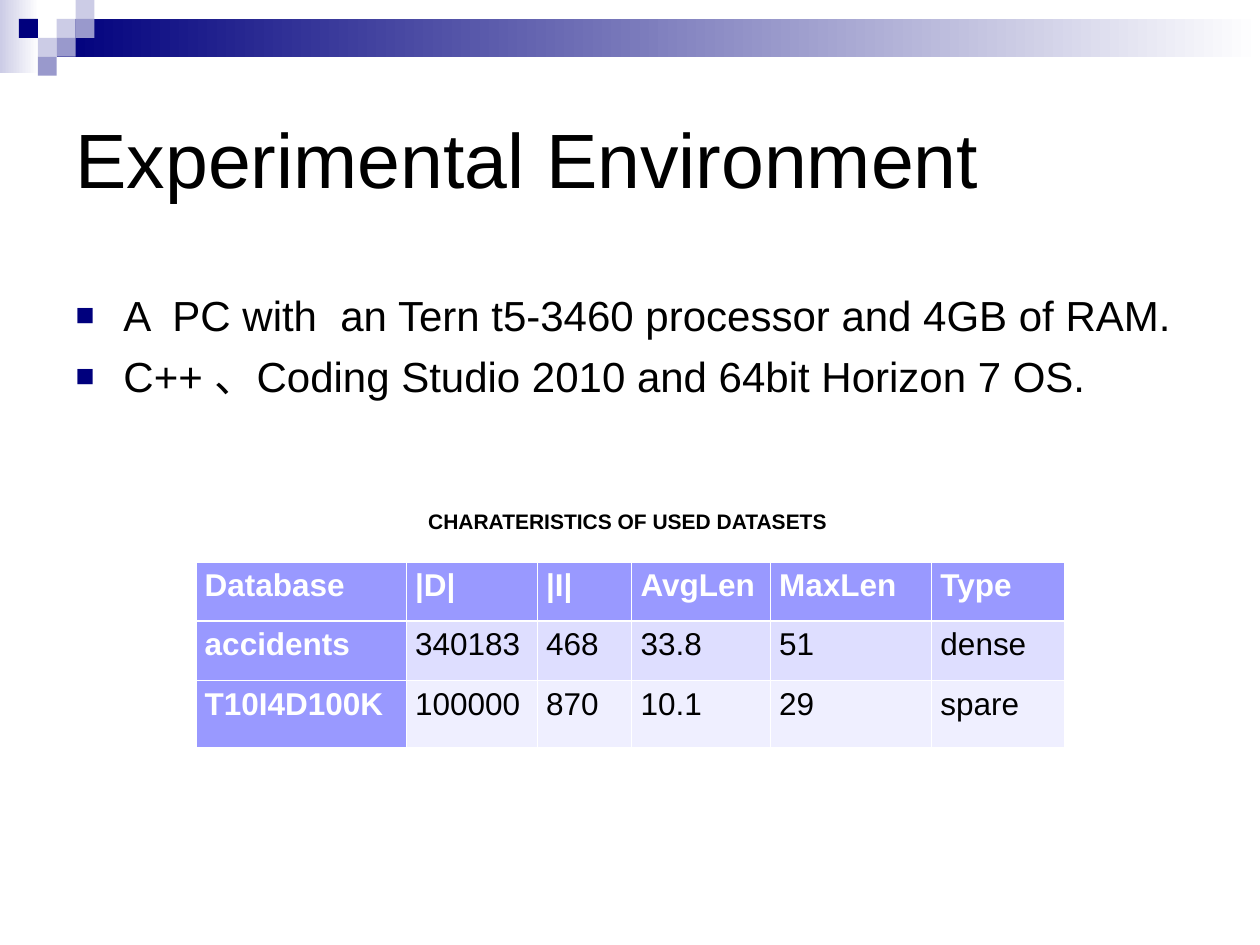
from dataclasses import dataclass

from lxml import etree
from pptx import Presentation
from pptx.dml.color import RGBColor
from pptx.enum.shapes import MSO_SHAPE
from pptx.enum.text import MSO_ANCHOR, MSO_AUTO_SIZE, PP_ALIGN
from pptx.oxml.ns import qn
from pptx.util import Inches, Pt

RECT = MSO_SHAPE.RECTANGLE
LEFT, JUSTIFY = PP_ALIGN.LEFT, PP_ALIGN.JUSTIFY
MIDDLE, TOP = MSO_ANCHOR.MIDDLE, MSO_ANCHOR.TOP
NO_FIT, GROW = MSO_AUTO_SIZE.NONE, MSO_AUTO_SIZE.SHAPE_TO_FIT_TEXT

TITLE = "Experimental Environment"
SETUP = [
    "A  PC with  an Tern t5-3460 processor and 4GB of RAM.",
    "C++ 、Coding Studio 2010 and 64bit Horizon 7 OS.",
]
CAPTION = "CHARATERISTICS OF USED DATASETS"
DATASETS = [
    ["Database", "|D|", "|I|", "AvgLen", "MaxLen", "Type"],
    ["accidents", "340183", "468", "33.8", "51", "dense"],
    ["T10I4D100K", "100000", "870", "10.1", "29", "spare"],
]


@dataclass(frozen=True)
class Theme:
    font: str = "Arial"
    navy: str = "00007D"
    mid: str = "9999CC"
    pale: str = "CCCCE6"
    white: str = "FFFFFF"
    black: str = "000000"
    header: str = "9999FF"
    bands: tuple = ("DEDEFF", "EFEFFF")
    title_size: int = 44
    body_size: int = 24
    table_size: int = 18
    caption_size: int = 12
    thin: float = 0.45
    thick: float = 1.47


THEME = Theme()
SLIDE_W, SLIDE_H = 10, 7.5
MARGIN = 0.5
CONTENT_W = SLIDE_W - 2 * MARGIN
TILE = 0.15
INDENT = 0.38
COLUMN_WIDTHS = [1.67, 1.04, 0.75, 1.1, 1.28, 1.05]
ROW_HEIGHTS = [0.47, 0.47, 0.53]
TABLE_TOP = 4.46
CAPTION_W, CAPTION_H, CAPTION_TOP = 3.4, 0.3, 3.99

# Column and row of each tile in the corner pattern
TILES = [
    (3, 1, THEME.pale), (4, 0, THEME.pale), (4, 1, THEME.mid),
    (2, 2, THEME.pale), (1, 1, THEME.navy), (3, 2, THEME.mid),
    (2, 3, THEME.mid),
]


def rgb(value):
    return RGBColor.from_string(value)


def write(paragraph, text, size, color=THEME.black, bold=False, align=LEFT):
    paragraph.alignment = align
    run = paragraph.add_run()
    run.text = text
    run.font.name = THEME.font
    run.font.size = Pt(size)
    run.font.bold = bold
    run.font.color.rgb = rgb(color)


def place(shape, left, top, width, height):
    shape.left, shape.top = Inches(left), Inches(top)
    shape.width, shape.height = Inches(width), Inches(height)


def add_block(slide, left, top, width, height, *colors):
    """Draw a rectangle: one colour is solid, two fade from left to right."""
    block = slide.shapes.add_shape(
        RECT, Inches(left), Inches(top), Inches(width), Inches(height))
    block.shadow.inherit = False
    block.line.fill.background()
    if len(colors) == 1:
        block.fill.solid()
        block.fill.fore_color.rgb = rgb(colors[0])
        return
    block.fill.gradient()
    block.fill.gradient_angle = 0
    for position, (stop, color) in enumerate(
            zip(block.fill.gradient_stops, colors)):
        stop.position = position
        stop.color.rgb = rgb(color)


def add_bullet(paragraph):
    props = paragraph._p.get_or_add_pPr()
    props.set("marL", str(Inches(INDENT)))
    props.set("indent", str(-Inches(INDENT)))
    bullet_color = etree.SubElement(props, qn("a:buClr"))
    etree.SubElement(bullet_color, qn("a:srgbClr"), val=THEME.navy)
    etree.SubElement(props, qn("a:buSzPct"), val="75000")
    etree.SubElement(props, qn("a:buFont"), typeface=THEME.font)
    etree.SubElement(props, qn("a:buChar"), char="■")


def add_border(cell, side, width):
    props = cell._tc.get_or_add_tcPr()
    line = etree.SubElement(props, qn(f"a:ln{side}"), w=str(Pt(width)))
    fill = etree.SubElement(line, qn("a:solidFill"))
    etree.SubElement(fill, qn("a:srgbClr"), val=THEME.white)


def add_corner(slide):
    add_block(slide, 0, 0, 0.31, 0.58, THEME.pale, THEME.white)
    band_left = 3 * TILE
    add_block(slide, band_left, TILE, SLIDE_W - band_left, 2 * TILE,
              THEME.navy, THEME.white)
    for column, row, color in TILES:
        add_block(slide, column * TILE, row * TILE, TILE, TILE, color)


def add_heading(slide):
    title = slide.shapes.title
    place(title, MARGIN, 0.5, CONTENT_W, 1.5)
    frame = title.text_frame
    frame.auto_size = NO_FIT
    frame.vertical_anchor = MIDDLE
    write(frame.paragraphs[0], TITLE, THEME.title_size)


def add_setup(slide):
    body = slide.placeholders[1]
    place(body, MARGIN, 2.25, CONTENT_W, 1.19)
    frame = body.text_frame
    frame.auto_size = NO_FIT
    frame.vertical_anchor = TOP
    for index, item in enumerate(SETUP):
        paragraph = frame.add_paragraph() if index else frame.paragraphs[0]
        add_bullet(paragraph)
        paragraph.space_before = Pt(6 if index else 0)
        write(paragraph, item, THEME.body_size)


def add_datasets(slide):
    width, height = sum(COLUMN_WIDTHS), sum(ROW_HEIGHTS)
    table = slide.shapes.add_table(
        len(DATASETS), len(COLUMN_WIDTHS), Inches((SLIDE_W - width) / 2),
        Inches(TABLE_TOP), Inches(width), Inches(height)).table
    table.horz_banding = False
    table.first_col = True
    for column, column_width in zip(table.columns, COLUMN_WIDTHS):
        column.width = Inches(column_width)
    for row, row_height in zip(table.rows, ROW_HEIGHTS):
        row.height = Inches(row_height)
    for r, values in enumerate(DATASETS):
        for c, value in enumerate(values):
            cell = table.cell(r, c)
            cell.margin_left = cell.margin_right = Inches(0.07)
            cell.margin_top = cell.margin_bottom = Inches(0.05)
            is_header = r == 0 or c == 0
            thick_side = {0: "B", 1: "T"}.get(r)
            for side in "LRTB":
                add_border(cell, side,
                           THEME.thick if side == thick_side else THEME.thin)
            cell.fill.solid()
            cell.fill.fore_color.rgb = rgb(
                THEME.header if is_header else THEME.bands[r - 1])
            write(cell.text_frame.paragraphs[0], value, THEME.table_size,
                  color=THEME.white if is_header else THEME.black,
                  bold=is_header, align=JUSTIFY)


def add_caption(slide):
    caption = slide.shapes.add_textbox(
        Inches((SLIDE_W - CAPTION_W) / 2), Inches(CAPTION_TOP),
        Inches(CAPTION_W), Inches(CAPTION_H))
    frame = caption.text_frame
    frame.word_wrap = False
    frame.auto_size = GROW
    write(frame.paragraphs[0], CAPTION, THEME.caption_size, bold=True)


def main():
    deck = Presentation()
    deck.slide_width, deck.slide_height = Inches(SLIDE_W), Inches(SLIDE_H)
    slide = deck.slides.add_slide(deck.slide_layouts[1])
    add_corner(slide)
    add_heading(slide)
    add_setup(slide)
    add_datasets(slide)
    add_caption(slide)
    deck.save("out.pptx")


if __name__ == "__main__":
    main()
